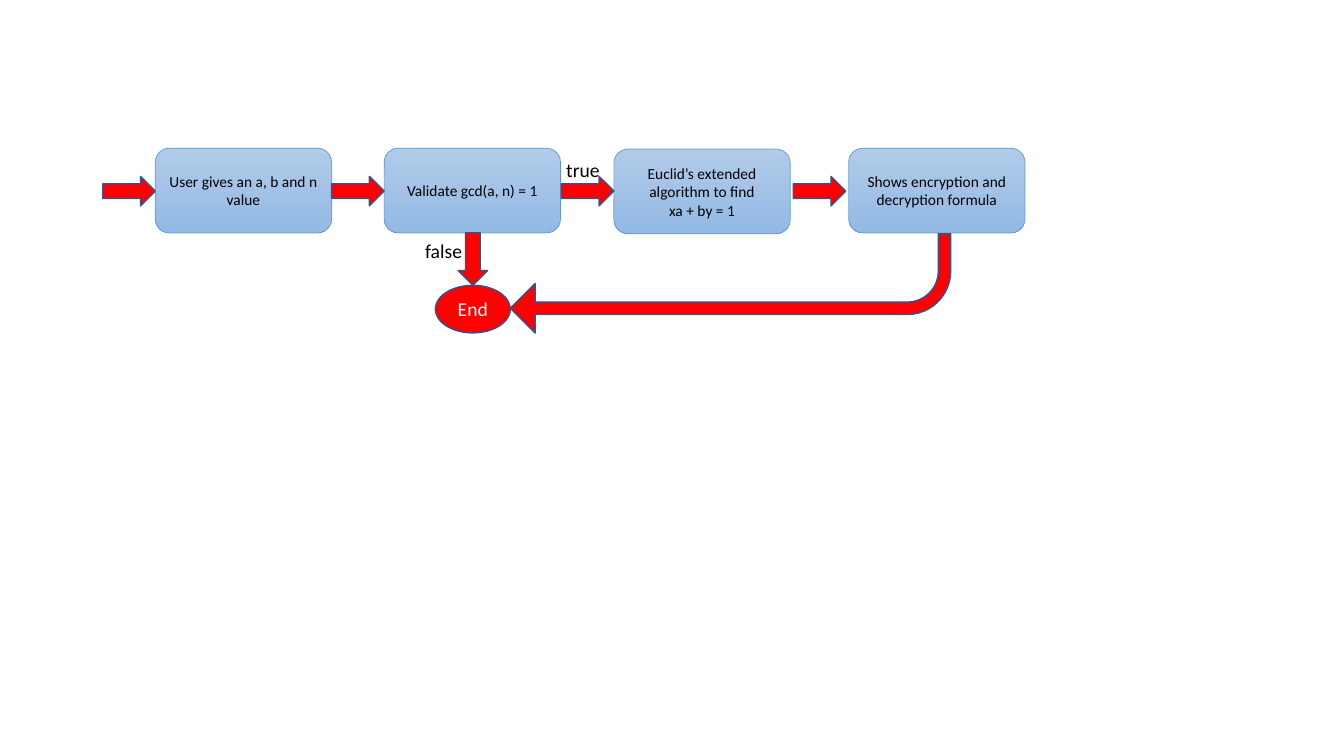
from copy import deepcopy
from dataclasses import dataclass

from pptx import Presentation
from pptx.dml.color import RGBColor
from pptx.enum.shapes import MSO_SHAPE
from pptx.enum.text import MSO_ANCHOR, MSO_AUTO_SIZE, PP_ALIGN
from pptx.oxml.ns import qn
from pptx.shapes.autoshape import Shape
from pptx.slide import Slide
from pptx.text.text import TextFrame
from pptx.util import Pt

STEP_TOP, STEP_WIDTH, STEP_HEIGHT = 105.9, 126, 60.5
ARROW_WIDTH, ARROW_HEIGHT = 37.5, 21
ARROW_TOP = 126


@dataclass(frozen=True)
class Step:
    text: str
    left: float
    arrow_left: float
    top: float = STEP_TOP


@dataclass(frozen=True)
class Label:
    text: str
    left: float
    top: float
    width: float


STEPS = [
    Step("User gives an a, b and n value", 110.9, 73.4),
    Step("Validate gcd(a, n) = 1", 274.4, 236.9),
    Step("Euclid’s extended algorithm to find\nxa + by = 1", 438.5, 401, 106.5),
    Step("Shows encryption and decryption formula", 606.2, 566.6),
]
LABELS = [Label("false", 296.6, 167, 41), Label("true", 397.4, 109.4, 38.9)]


def color(value: str) -> RGBColor:
    """Turn a hex string into a colour."""
    return RGBColor.from_string(value)


def write(frame: TextFrame, text: str, *, size: float, ink: str = "000000",
          align: PP_ALIGN = PP_ALIGN.CENTER,
          anchor: MSO_ANCHOR = MSO_ANCHOR.MIDDLE, wrap: bool = True) -> None:
    """Put formatted text into a frame."""
    frame.word_wrap = wrap
    frame.vertical_anchor = anchor
    para = frame.paragraphs[0]
    para.text = text
    para.alignment = align
    for span in para.runs:
        span.font.name = "Calibri"
        span.font.size = Pt(size)
        span.font.color.rgb = color(ink)
    for line_break in para._p.findall(qn("a:br")):
        line_break.insert(0, deepcopy(para.runs[0]._r.rPr))


def add_outlined(page: Slide, kind: MSO_SHAPE, left: float, top: float, width: float,
                 height: float, *, line: str, weight: float) -> Shape:
    """Add a shadowless preset shape with an outline."""
    shape = page.shapes.add_shape(kind, Pt(left), Pt(top), Pt(width), Pt(height))
    shape.shadow.inherit = False
    shape.line.color.rgb = color(line)
    shape.line.width = Pt(weight)
    return shape


def add_red(page: Slide, kind: MSO_SHAPE, left: float, top: float, width: float,
            height: float, rotation: float = 0) -> Shape:
    """Add a red shape with a dark blue outline."""
    shape = add_outlined(page, kind, left, top, width, height, line="325491", weight=1)
    shape.fill.solid()
    shape.fill.fore_color.rgb = color("FF0000")
    shape.rotation = rotation
    return shape


def add_step(page: Slide, step: Step) -> None:
    """Add a process box and the arrow that leads to it."""
    box = add_outlined(page, MSO_SHAPE.ROUNDED_RECTANGLE, step.left, step.top,
                       STEP_WIDTH, STEP_HEIGHT, line="5B9BD5", weight=0.5)
    box.fill.gradient()
    box.fill.gradient_angle = 270
    for stop, tone in zip(box.fill.gradient_stops, ("B1CBE9", "93B9E4")):
        stop.color.rgb = color(tone)
    write(box.text_frame, step.text, size=11)
    add_red(page, MSO_SHAPE.RIGHT_ARROW, step.arrow_left, ARROW_TOP, ARROW_WIDTH, ARROW_HEIGHT)


def add_label(page: Slide, label: Label) -> None:
    """Add the name of a branch."""
    box = page.shapes.add_textbox(Pt(label.left), Pt(label.top), Pt(label.width), Pt(24.2))
    write(box.text_frame, label.text, size=14, align=PP_ALIGN.LEFT,
          anchor=MSO_ANCHOR.TOP, wrap=False)
    box.text_frame.auto_size = MSO_AUTO_SIZE.SHAPE_TO_FIT_TEXT


def main() -> None:
    """Build the flowchart slide."""
    deck = Presentation()
    deck.slide_width, deck.slide_height = Pt(960), Pt(540)
    page = deck.slides.add_slide(deck.slide_layouts[6])
    for step in STEPS:
        add_step(page, step)
    add_red(page, MSO_SHAPE.RIGHT_ARROW, 319, 174.5, ARROW_WIDTH, ARROW_HEIGHT, rotation=90)
    end = add_red(page, MSO_SHAPE.OVAL, 311, 203.8, 53.5, 34)
    write(end.text_frame, "End", size=14, ink="FFFFFF")
    back = add_red(page, MSO_SHAPE.BENT_ARROW, 364.5, 167, 314.6, 70.9, rotation=180)
    for index, ratio in enumerate((0.125, 0.25, 0.25, 0.4375)):
        back.adjustments[index] = ratio
    for label in LABELS:
        add_label(page, label)
    deck.save("out.pptx")


if __name__ == "__main__":
    main()
